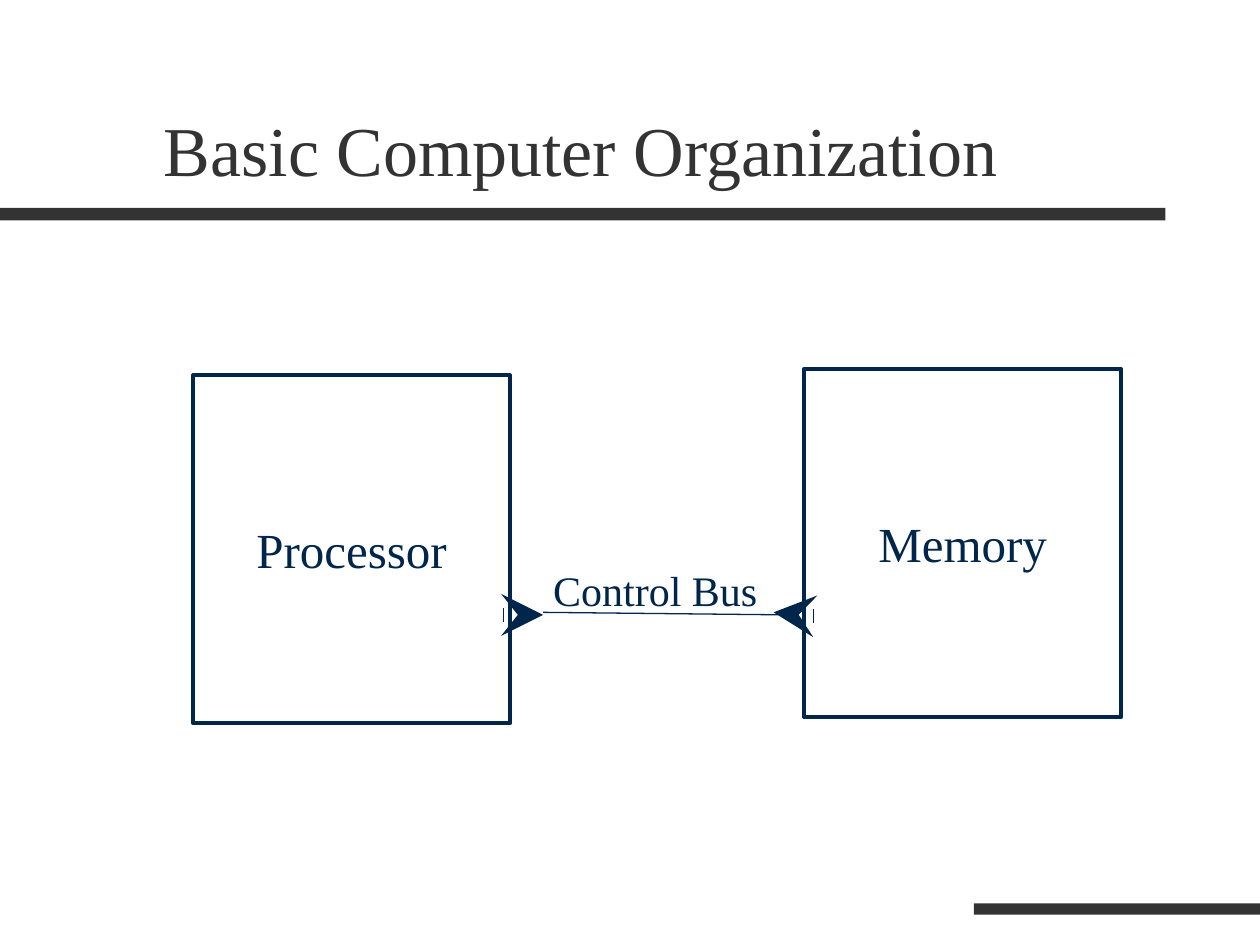
import pptx
import pptx.util
import pptx.dml.color
import pptx.enum.shapes
import pptx.enum.text
import pptx.oxml
import pptx.oxml.ns

Inches, Pt = pptx.util.Inches, pptx.util.Pt
Anchor, Align = pptx.enum.text.MSO_ANCHOR, pptx.enum.text.PP_ALIGN
RECT = pptx.enum.shapes.MSO_SHAPE.RECTANGLE
colors = {name: pptx.dml.color.RGBColor.from_string(code)
          for name, code in {"gray": "333333", "navy": "00264C"}.items()}
wide, high = 10, 7.5

deck = pptx.Presentation()
deck.slide_width, deck.slide_height = Inches(wide), Inches(high)
slide = deck.slides.add_slide(deck.slide_layouts[5])
shapes = slide.shapes


def write(shape, text, size, color, anchor, align):
    frame = shape.text_frame
    frame.text = text
    frame.vertical_anchor = anchor
    frame.auto_size = pptx.enum.text.MSO_AUTO_SIZE.NONE
    line = frame.paragraphs[0]
    line.alignment = align
    font = line.runs[0].font
    font.name, font.size = "Times New Roman", Pt(size)
    font.color.rgb = colors[color]
    return frame


for left, top, width, height in [(0, 0.22 * high, 0.925 * wide, 0.1),
                                 (0.773 * wide, 7.17, 0.227 * wide, 0.09)]:
    bar = shapes.add_shape(RECT, *map(Inches, (left, top, width, height)))
    bar.shadow.inherit = False
    bar.fill.solid()
    bar.fill.fore_color.rgb = colors["gray"]
    bar.line.fill.background()

title = shapes.title
title.left, title.top = Inches(0.12 * wide), Inches(0.31)
title.width, title.height = Inches(0.85 * wide), Inches(high / 6)
write(title, "Basic Computer Organization", 40, "gray", Anchor.BOTTOM, Align.LEFT)

for name, left, top in [("Memory", 6.38, 2.93), ("Processor", 1.53, 2.98)]:
    box = shapes.add_shape(RECT, *map(Inches, (left, top, 2.52, 2.76)))
    box.shadow.inherit = False
    box.fill.background()
    box.line.color.rgb = colors["navy"]
    box.line.width = Pt(2.25)
    write(box, name, 28, "navy", Anchor.MIDDLE, Align.CENTER).word_wrap = False

label = shapes.add_textbox(*map(Inches, (4.12, 4.39, 2.08, 0.5)))
frame = write(label, "Control Bus", 24, "navy", Anchor.TOP, Align.LEFT)
frame.word_wrap = True
frame.margin_left, frame.margin_right = Inches(0.27), 0
frame.margin_top, frame.margin_bottom = Inches(0.09), 0

for start, end, weight, head in [((3.99, 4.88), (4.31, 4.88), 8, True),
                                 ((6.45, 4.89), (6.14, 4.86), 8, True),
                                 ((4.31, 4.86), (6.24, 4.88), 0.75, False)]:
    wire = shapes.add_connector(pptx.enum.shapes.MSO_CONNECTOR.STRAIGHT,
                                *map(Inches, start + end))
    wire.line.color.rgb = colors["navy"]
    wire.line.width = Pt(weight)
    props = wire._element.spPr
    if head:
        tail = pptx.oxml.ns.qn("a:tailEnd")
        props.find(pptx.oxml.ns.qn("a:ln")).append(
            props.makeelement(tail, {"type": "stealth"}))
    props.append(props.makeelement(pptx.oxml.ns.qn("a:effectLst"), {}))

deck.save("out.pptx")
